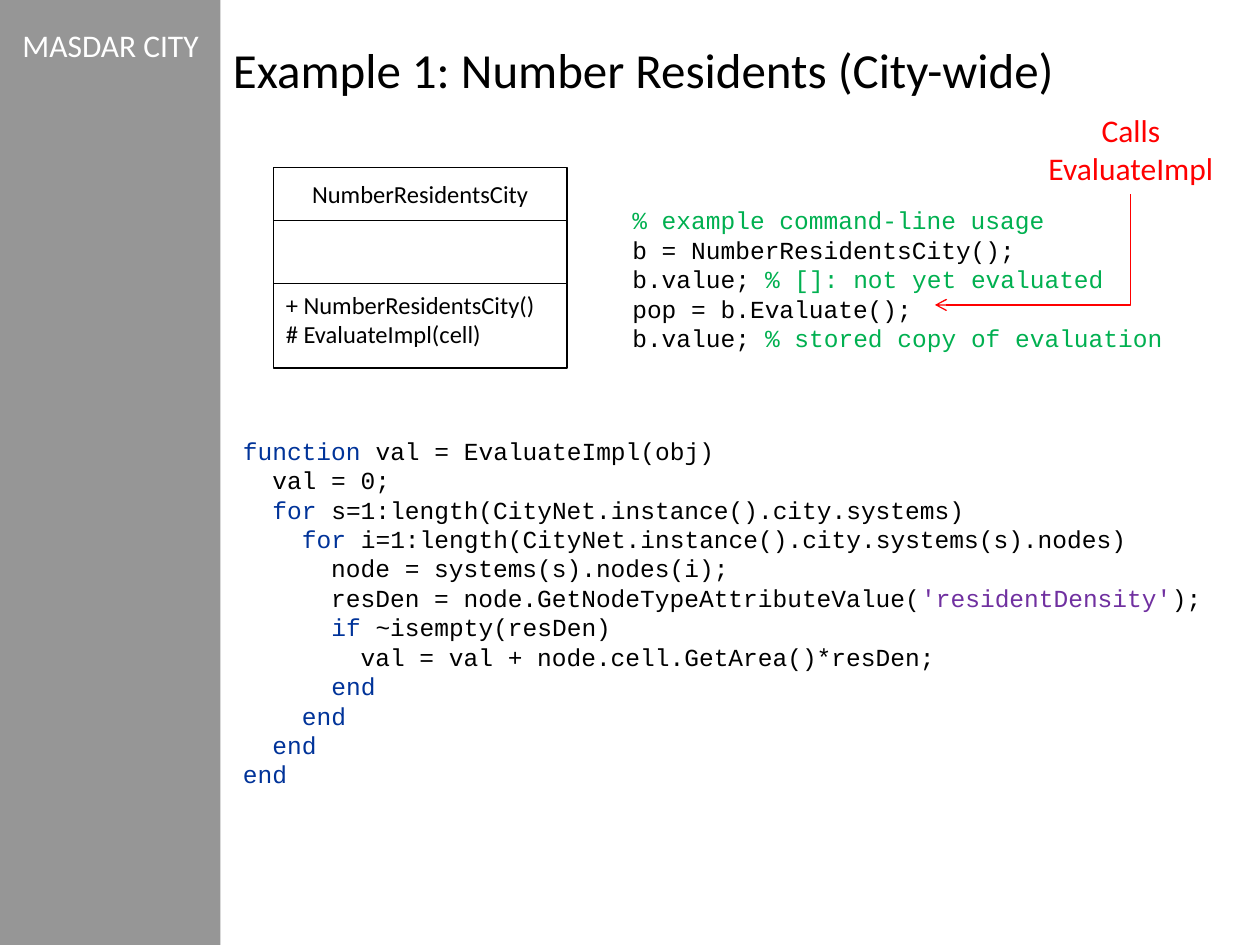
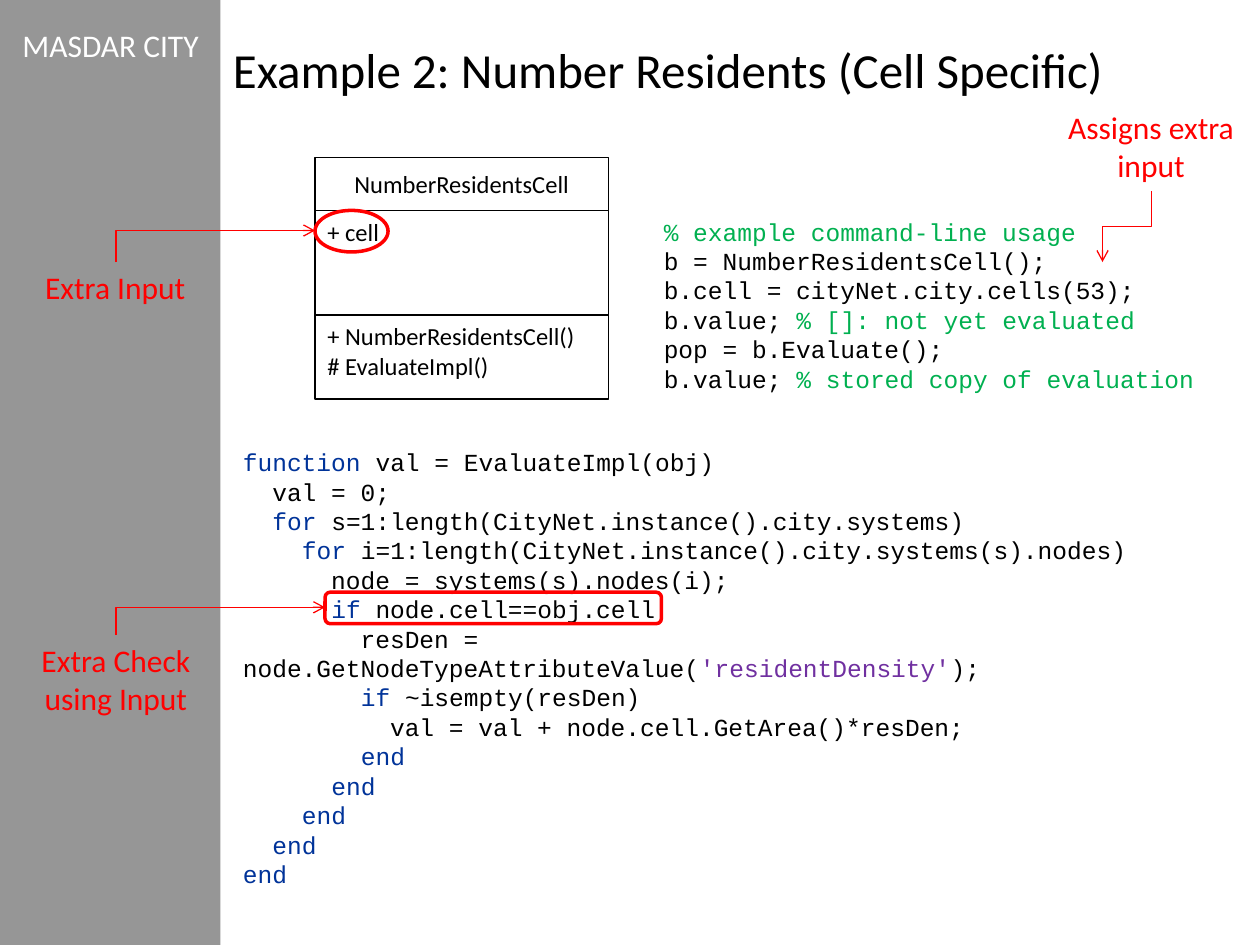
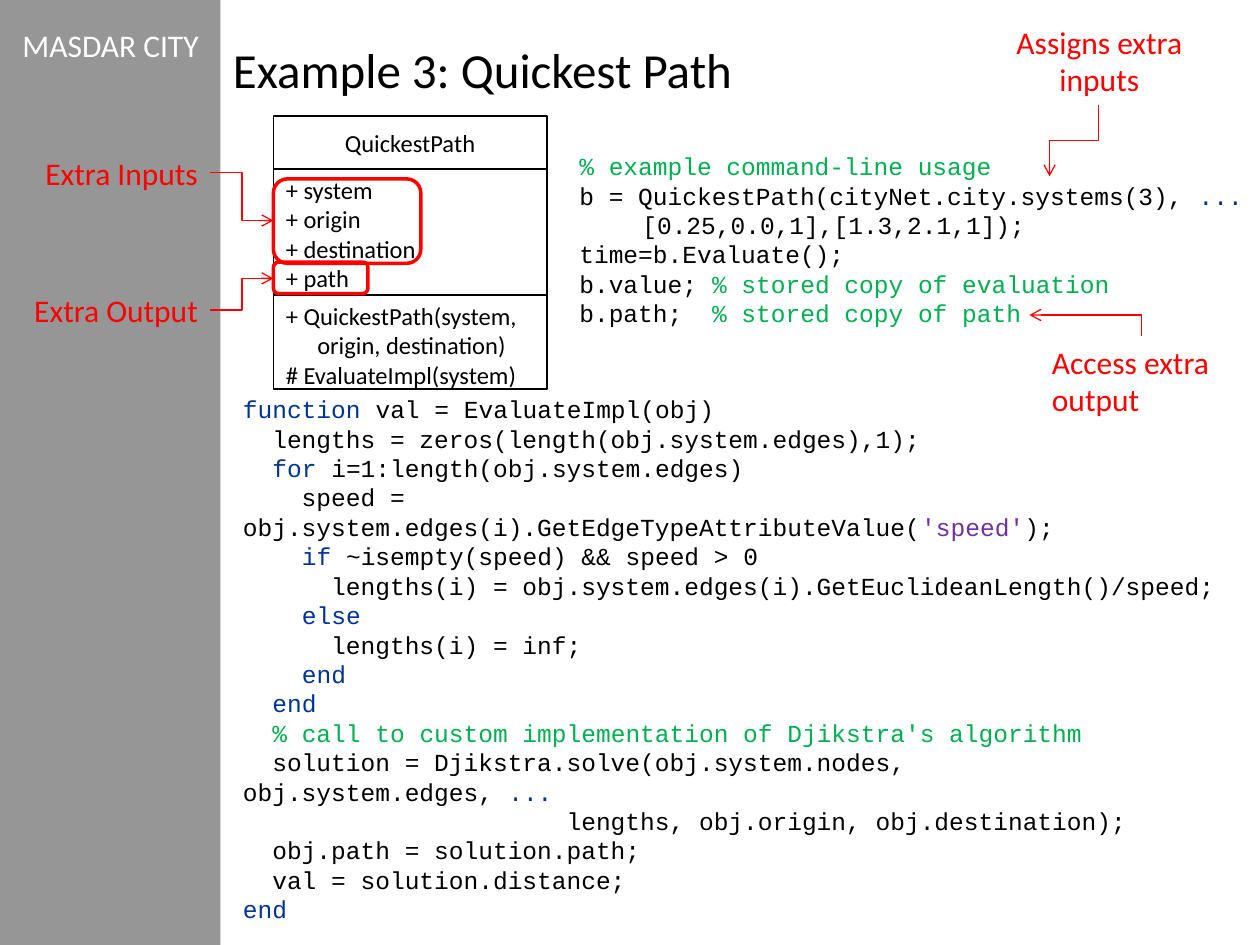
from itertools import groupby

from pptx import Presentation
from pptx.dml.color import RGBColor
from pptx.enum.shapes import MSO_CONNECTOR, MSO_SHAPE
from pptx.enum.text import MSO_ANCHOR, MSO_AUTO_SIZE, PP_ALIGN
from pptx.oxml.ns import qn
from pptx.util import Inches, Pt
from lxml import etree

RECTANGLE, ROUNDED, ELLIPSE = MSO_SHAPE.RECTANGLE, MSO_SHAPE.ROUNDED_RECTANGLE, MSO_SHAPE.OVAL
ELBOW = MSO_CONNECTOR.ELBOW
TOP, MIDDLE = MSO_ANCHOR.TOP, MSO_ANCHOR.MIDDLE
LEFT, CENTER, RIGHT = PP_ALIGN.LEFT, PP_ALIGN.CENTER, PP_ALIGN.RIGHT
NO_FIT, GROW = MSO_AUTO_SIZE.NONE, MSO_AUTO_SIZE.SHAPE_TO_FIT_TEXT

BLACK, WHITE, GREY, RED = "000000", "FFFFFF", "969696", "FF0000"
BLUE, GREEN, PURPLE = "003399", "00B050", "7030A0"
KEYWORDS = {"function", "for", "if", "else", "end", "..."}

FORMATS = {
    "title": {"name": "Calibri", "size": Pt(28)},
    "label": {"name": "Calibri", "size": Pt(18)},
    "member": {"name": "Calibri", "size": Pt(14)},
    "code": {"name": "Courier New", "size": Pt(14)},
}


def rgb(value):
    return RGBColor.from_string(value)


def apply(target, values):
    for name, value in values.items():
        setattr(target, name, value)


def inches(*lengths):
    return [Inches(length) for length in lengths]


def highlight(line):
    code, mark, comment = line.partition("%")
    tokens = []
    for index, part in enumerate(code.split("'")):
        if index % 2:
            tokens.append((f"'{part}'", PURPLE))
        else:
            words = part.replace(" ", "\n \n").split("\n")
            tokens += [(word, BLUE if word in KEYWORDS else BLACK) for word in words if word]
    if mark:
        tokens.append((mark + comment, GREEN))
    return [("".join(text for text, _ in group), colour)
            for colour, group in groupby(tokens, key=lambda token: token[1])]


class Deck:
    def __init__(self):
        self.presentation = Presentation()
        apply(self.presentation, {"slide_width": Inches(10), "slide_height": Inches(7.5)})
        self.slide = None

    def new_slide(self, title):
        self.slide = self.presentation.slides.add_slide(self.presentation.slide_layouts[6])
        self.shape(RECTANGLE, (0, 0, 1.75, 7.5), fill=GREY)
        self.text((0.08, 0.16, 1.67, 0.4), ["MASDAR CITY"], "label", WHITE)
        self.text((1.75, 0.17, 7.75, 0.75), [title], "title", anchor=MIDDLE, fit=NO_FIT)

    def fill_lines(self, shape, lines, style, colour=BLACK, align=LEFT, anchor=TOP, fit=NO_FIT, hang=0):
        frame = shape.text_frame
        apply(frame, {"word_wrap": True, "auto_size": fit, "vertical_anchor": anchor})
        for index, line in enumerate(lines):
            paragraph = frame.add_paragraph() if index else frame.paragraphs[0]
            paragraph.alignment = align
            if hang:
                properties = paragraph._p.get_or_add_pPr()
                properties.set("marL", str(Inches(hang)))
                properties.set("indent", str(-Inches(hang)))
            for text, run_colour in highlight(line) if style == "code" else [(line, colour)]:
                run = paragraph.add_run()
                run.text = text
                apply(run.font, FORMATS[style])
                run.font.color.rgb = rgb(run_colour)

    def text(self, place, lines, style, colour=BLACK, fit=GROW, **options):
        box = self.slide.shapes.add_textbox(*inches(*place))
        self.fill_lines(box, lines, style, colour, fit=fit, **options)

    def code(self, place, source, hang=0):
        self.text(place, source.strip("\n").split("\n"), "code", hang=hang)

    def note(self, place, words, align=CENTER):
        self.text(place, [words], "label", RED, align=align)

    def shape(self, kind, place, fill=None, line=None, width=1):
        shape = self.slide.shapes.add_shape(kind, *inches(*place))
        shape.shadow.inherit = False
        if fill:
            shape.fill.solid()
            shape.fill.fore_color.rgb = rgb(fill)
        else:
            shape.fill.background()
        if line:
            shape.line.color.rgb = rgb(line)
            shape.line.width = Pt(width)
        else:
            shape.line.fill.background()
        return shape

    def ring(self, kind, place):
        self.shape(kind, place, line=RED, width=2)

    def class_box(self, left, top, width, compartments, hang=0):
        for index, (height, lines) in enumerate(compartments):
            cell = self.shape(RECTANGLE, (left, top, width, height), WHITE, BLACK)
            if index == 0:
                self.fill_lines(cell, lines, "member", align=CENTER, anchor=MIDDLE)
            else:
                self.fill_lines(cell, lines, "member", hang=hang)
            top += height

    def arrow(self, start, end, vertical=True, corner=False):
        (x1, y1), (x2, y2) = start, end
        if vertical:
            mid_x, mid_y = (x1 + x2) / 2, (y1 + y2) / 2
            half_run, half_rise = (y2 - y1) / 2, (x2 - x1) / 2
            x1, x2 = mid_x - half_run, mid_x + half_run
            y1, y2 = mid_y + half_rise, mid_y - half_rise
        connector = self.slide.shapes.add_connector(ELBOW, *inches(x1, y1, x2, y2))
        connector.line.color.rgb = rgb(RED)
        connector.line.width = Pt(0.75)
        properties = connector.element.spPr
        if vertical:
            properties.find(qn("a:xfrm")).set("rot", "5400000")
        if corner:
            properties.find(qn("a:prstGeom")).set("prst", "bentConnector2")
        etree.SubElement(properties.find(qn("a:ln")), qn("a:tailEnd")).set("type", "arrow")
        etree.SubElement(properties, qn("a:effectLst"))


def residents_city(deck):
    deck.new_slide("Example 1: Number Residents (City-wide)")
    deck.class_box(2.17, 1.33, 2.33, [
        (0.42, ["NumberResidentsCity"]),
        (0.5, []),
        (0.67, ["+ NumberResidentsCity()", "# EvaluateImpl(cell)"]),
    ])
    deck.code((1.83, 3.41, 8, 2.93), """
function val = EvaluateImpl(obj)
  val = 0;
  for s=1:length(CityNet.instance().city.systems)
    for i=1:length(CityNet.instance().city.systems(s).nodes)
      node = systems(s).nodes(i);
      resDen = node.GetNodeTypeAttributeValue('residentDensity');
      if ~isempty(resDen)
        val = val + node.cell.GetArea()*resDen;
      end
    end
  end
end
""")
    deck.code((4.92, 1.58, 4.92, 1.28), """
% example command-line usage
b = NumberResidentsCity();
b.value; % []: not yet evaluated
pop = b.Evaluate();
b.value; % stored copy of evaluation
""")
    deck.note((8.17, 0.83, 1.61, 0.71), "Calls EvaluateImpl")
    deck.arrow((8.97, 1.54), (7.42, 2.42), corner=True)


def residents_cell(deck):
    deck.new_slide("Example 2: Number Residents (Cell Specific)")
    deck.code((1.83, 3.5, 8, 3.4), """
function val = EvaluateImpl(obj)
  val = 0;
  for s=1:length(CityNet.instance().city.systems)
    for i=1:length(CityNet.instance().city.systems(s).nodes)
      node = systems(s).nodes(i);
      if node.cell==obj.cell
        resDen = node.GetNodeTypeAttributeValue('residentDensity');
        if ~isempty(resDen)
          val = val + node.cell.GetArea()*resDen;
        end
      end
    end
  end
end
""")
    deck.code((5.17, 1.67, 4.5, 1.51), """
% example command-line usage
b = NumberResidentsCell();
b.cell = cityNet.city.cells(53);
b.value; % []: not yet evaluated
pop = b.Evaluate();
b.value; % stored copy of evaluation
""")
    deck.class_box(2.5, 1.25, 2.33, [
        (0.42, ["NumberResidentsCell"]),
        (0.83, ["+ cell"]),
        (0.67, ["+ NumberResidentsCell()", "# EvaluateImpl()"]),
    ])
    deck.note((0.25, 2.08, 1.33, 0.4), "Extra Input")
    deck.ring(ELLIPSE, (2.5, 1.67, 0.58, 0.33))
    deck.arrow((0.92, 2.08), (2.5, 1.83), corner=True)
    deck.ring(ROUNDED, (2.58, 4.7, 2.67, 0.25))
    deck.note((8.33, 0.81, 1.61, 0.71), "Assigns extra input")
    deck.arrow((9.14, 1.52), (8.75, 2.08))
    deck.note((0.17, 5.04, 1.5, 0.71), "Extra Check using Input")
    deck.arrow((0.92, 5.04), (2.58, 4.82), corner=True)


def quickest_path(deck):
    deck.new_slide("Example 3: Quickest Path")
    deck.class_box(2.17, 0.92, 2.17, [
        (0.42, ["QuickestPath"]),
        (1, ["+ system", "+ origin", "+ destination", "+ path"]),
        (0.75, ["+ QuickestPath(system, origin, destination)", "# EvaluateImpl(system)"]),
    ], hang=0.25)
    deck.code((1.83, 3.08, 8, 3.87), """
function val = EvaluateImpl(obj)
  lengths = zeros(length(obj.system.edges),1);
  for i=1:length(obj.system.edges)
    speed = obj.system.edges(i).GetEdgeTypeAttributeValue('speed');
    if ~isempty(speed) && speed > 0
      lengths(i) = obj.system.edges(i).GetEuclideanLength()/speed;
    else
      lengths(i) = inf;
    end
  end
  % call to custom implementation of Djikstra's algorithm
  solution = Djikstra.solve(obj.system.nodes, obj.system.edges, ...
                      lengths, obj.origin, obj.destination);
  obj.path = solution.path;
  val = solution.distance;
end
""")
    deck.code((4.5, 1.15, 5.5, 1.51), """
% example command-line usage
b = QuickestPath(cityNet.city.systems(3), ... [0.25,0.0,1],[1.3,2.1,1]);
time=b.Evaluate();
b.value; % stored copy of evaluation
b.path;  % stored copy of path
""", hang=0.5)
    deck.note((0.17, 1.17, 1.5, 0.4), "Extra Inputs", RIGHT)
    deck.arrow((1.67, 1.37), (2.17, 1.75), vertical=False)
    deck.ring(ROUNDED, (2.17, 1.42, 1.17, 0.67))
    deck.ring(ROUNDED, (2.17, 2.08, 0.75, 0.25))
    deck.note((0, 2.26, 1.67, 0.4), "Extra Output", RIGHT)
    deck.arrow((1.67, 2.46), (2.17, 2.21), vertical=False)
    deck.note((7.92, 0.13, 1.61, 0.71), "Assigns extra inputs")
    deck.arrow((8.72, 0.83), (8.33, 1.4))
    deck.note((8.25, 2.67, 1.61, 0.71), "Access extra output", LEFT)
    deck.arrow((9.06, 2.67), (8.17, 2.5), corner=True)


def main():
    deck = Deck()
    for build in (residents_city, residents_cell, quickest_path):
        build(deck)
    deck.presentation.save("out.pptx")


if __name__ == "__main__":
    main()
